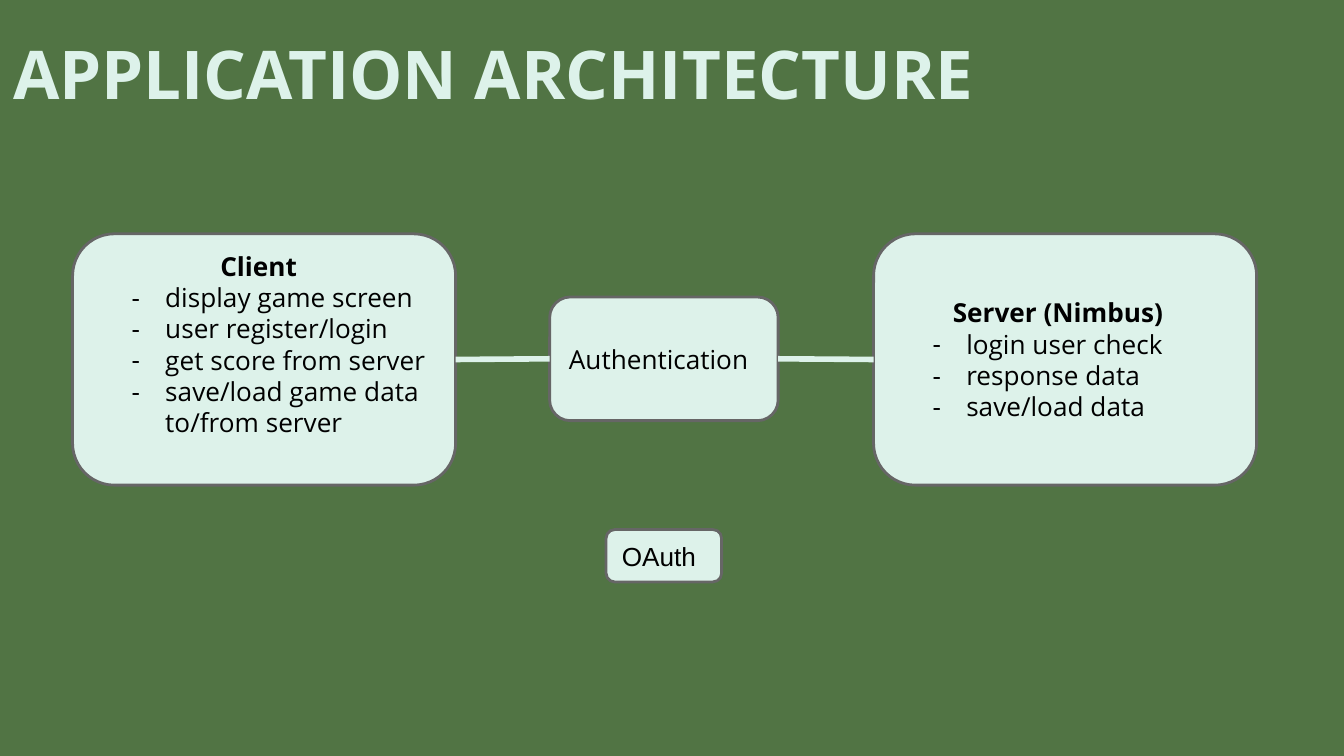
from lxml.etree import SubElement
from pptx import Presentation
from pptx.dml.color import RGBColor
from pptx.enum.shapes import MSO_CONNECTOR, MSO_SHAPE
from pptx.enum.text import MSO_ANCHOR, PP_ALIGN
from pptx.oxml.ns import qn
from pptx.util import Inches, Pt

GREEN, MINT, GREY, BLACK = "517444", "DDF2EA", "666666", "000000"
TITLE = "APPLICATION ARCHITECTURE"

# heading indent and bottom inset place the text inside each large box
PANELS = [
    dict(name="client", at=(0.54, 1.74, 2.85, 1.87), heading="Client",
         indent=0.91, bottom=0.33,
         items=["display game screen", "user register/login",
                "get score from server", "save/load game data to/from server"]),
    dict(name="server", at=(6.5, 1.74, 2.85, 1.87), heading="Server (Nimbus)",
         indent=0.4, bottom=0.1,
         items=["login user check", "response data", "save/load data"]),
]
LABELS = [
    dict(name="authentication", at=(4.09, 2.21, 1.7, 0.92),
         text="Authentication", font="Open Sans"),
    dict(name="oauth", at=(4.51, 3.94, 0.86, 0.39), text="OAuth", font="Arial"),
]
LINKS = [("client", "authentication"), ("authentication", "server")]


def rgb(value):
    return RGBColor.from_string(value)


def set_margins(tf, bottom=0.1):
    tf.margin_left = tf.margin_right = tf.margin_top = Inches(0.1)
    tf.margin_bottom = Inches(bottom)
    tf.word_wrap = True


def write(p, text, size=14, font="Open Sans", color=BLACK, bold=False):
    p.text = text
    p.alignment = PP_ALIGN.LEFT
    f = p.runs[0].font
    f.size, f.name, f.bold = Pt(size), font, bold
    f.color.rgb = rgb(color)


def indent(p, left, first=0.0, bullet=None):
    pPr = p._p.get_or_add_pPr()
    pPr.set("marL", str(Inches(left)))
    pPr.set("indent", str(Inches(first)))
    if bullet:
        SubElement(pPr, qn("a:buSzPct")).set("val", "100000")
        SubElement(pPr, qn("a:buFont")).set("typeface", "Open Sans")
        SubElement(pPr, qn("a:buChar")).set("char", bullet)


def add_box(at, bottom=0.1):
    box = s.shapes.add_shape(MSO_SHAPE.ROUNDED_RECTANGLE, *map(Inches, at))
    box.shadow.inherit = False
    box.fill.solid()
    box.fill.fore_color.rgb = rgb(MINT)
    box.line.color.rgb = rgb(GREY)
    box.line.width = Pt(1.5)
    set_margins(box.text_frame, bottom)
    box.text_frame.vertical_anchor = MSO_ANCHOR.MIDDLE
    return box


prs = Presentation()
prs.slide_width = Inches(10)
prs.slide_height = prs.slide_width * 9 // 16
s = prs.slides.add_slide(prs.slide_layouts[6])
s.background.fill.solid()
s.background.fill.fore_color.rgb = rgb(GREEN)

title = s.shapes.add_textbox(0, 0, Inches(7.52), Inches(0.94))
set_margins(title.text_frame)
title.text_frame.vertical_anchor = MSO_ANCHOR.BOTTOM
write(title.text_frame.paragraphs[0], TITLE, 36, color=MINT, bold=True)

boxes = {}
for panel in PANELS:
    box = boxes[panel["name"]] = add_box(panel["at"], panel["bottom"])
    tf = box.text_frame
    write(tf.paragraphs[0], panel["heading"], bold=True)
    indent(tf.paragraphs[0], panel["indent"])
    for item in panel["items"]:
        p = tf.add_paragraph()
        write(p, item)
        indent(p, 0.5, -0.25, "-")

for label in LABELS:
    box = boxes[label["name"]] = add_box(label["at"])
    write(box.text_frame.paragraphs[0], label["text"], font=label["font"])

for start, end in LINKS:
    link = s.shapes.add_connector(MSO_CONNECTOR.STRAIGHT, 0, 0, 0, 0)
    link.begin_connect(boxes[start], 3)
    link.end_connect(boxes[end], 1)
    link.line.color.rgb = rgb(MINT)
    link.line.width = Pt(3)
    SubElement(link._element.spPr, qn("a:effectLst"))

prs.save("out.pptx")
